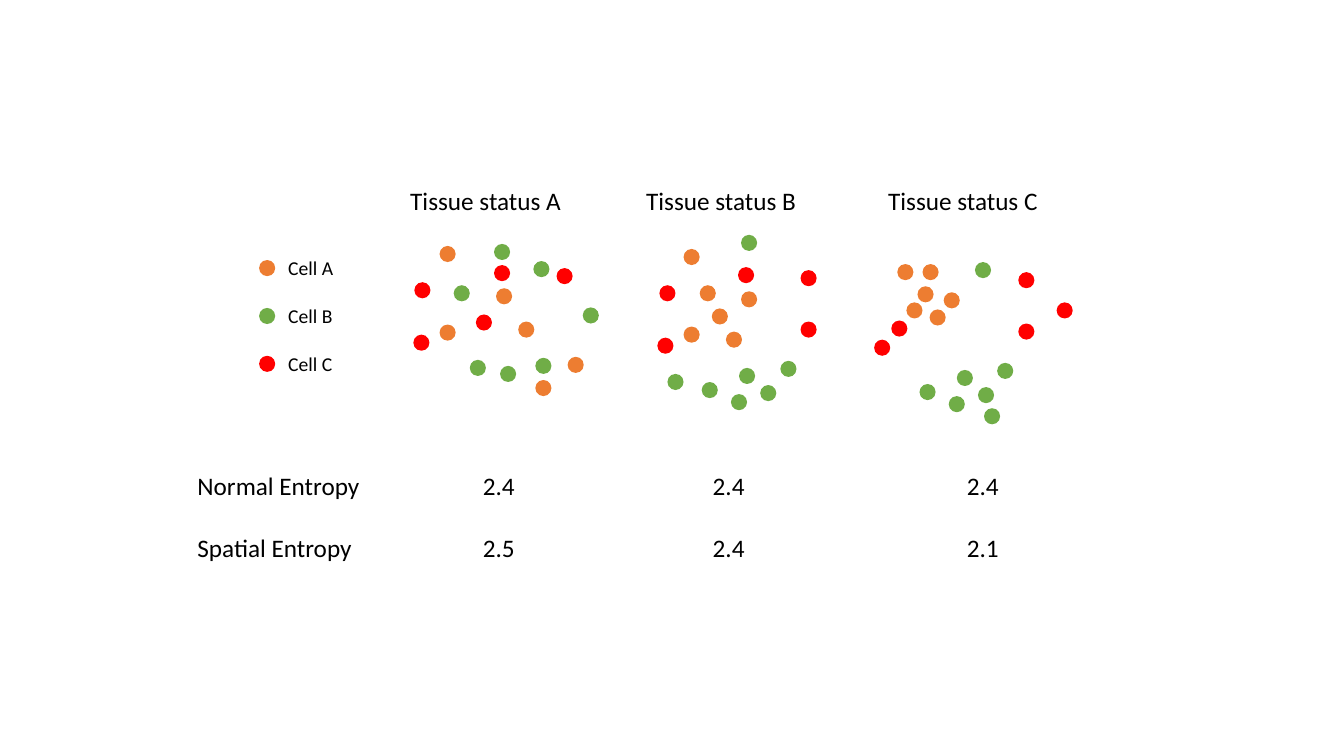
from pptx import Presentation
from pptx import util as u
from pptx.dml.color import RGBColor
from pptx.enum import shapes, text

ORANGE = RGBColor(0xED, 0x7D, 0x31)
GREEN = RGBColor(0x70, 0xAD, 0x47)
RED = RGBColor(0xFF, 0x00, 0x00)
BLACK = RGBColor(0x00, 0x00, 0x00)

CELL_KINDS = [("Cell A", ORANGE), ("Cell B", GREEN), ("Cell C", RED)]

TISSUES = [
    {
        "title": "Tissue status A", "title_left": 3.97,
        "value_left": 4.69, "values": ["2.4", "2.5"],
        "cells": {
            ORANGE: [(4.36, 2.44), (4.36, 3.22), (4.92, 2.86), (5.14, 3.19),
                     (5.31, 3.77), (5.63, 3.54)],
            GREEN: [(5.29, 2.59), (4.9, 2.42), (4.96, 3.63), (4.5, 2.83),
                    (5.31, 3.55), (5.78, 3.05), (4.66, 3.57)],
            RED: [(4.9, 2.63), (4.11, 2.8), (4.72, 3.12), (5.52, 2.66),
                  (4.1, 3.32)],
        },
    },
    {
        "title": "Tissue status B", "title_left": 6.31,
        "value_left": 6.97, "values": ["2.4", "2.4"],
        "cells": {
            ORANGE: [(6.78, 2.47), (6.78, 3.24), (7.35, 2.89), (7.2, 3.29),
                     (6.94, 2.83), (7.06, 3.06)],
            GREEN: [(6.62, 3.71), (7.35, 2.33), (7.25, 3.91), (7.33, 3.65),
                    (7.74, 3.58), (7.54, 3.82), (6.96, 3.79)],
            RED: [(7.32, 2.65), (6.54, 2.83), (7.94, 3.19), (7.94, 2.68),
                  (6.52, 3.35)],
        },
    },
    {
        "title": "Tissue status C", "title_left": 8.71,
        "value_left": 9.49, "values": ["2.4", "2.1"],
        "cells": {
            ORANGE: [(9.15, 2.62), (8.99, 3.0), (9.36, 2.9), (8.9, 2.62),
                     (9.1, 2.84), (9.22, 3.07)],
            GREEN: [(9.76, 4.05), (9.67, 2.6), (9.41, 3.93), (9.49, 3.67),
                    (9.89, 3.6), (9.7, 3.84), (9.12, 3.81)],
            RED: [(10.48, 3.0), (8.84, 3.18), (10.1, 3.21), (10.1, 2.7),
                  (8.67, 3.37)],
        },
    },
]

MEASURES = [("Normal Entropy", 1.82), ("Spatial Entropy", 1.75)]
MEASURE_TOP, MEASURE_STEP = 4.62, 0.61
LEGEND_TOP, LEGEND_STEP = 2.58, 0.475


def write(box, words, *, size=18, color=BLACK, font="Calibri"):
    frame = box.text_frame
    frame.word_wrap = False
    frame.auto_size = text.MSO_AUTO_SIZE.SHAPE_TO_FIT_TEXT
    span = frame.paragraphs[0].add_run()
    span.text = words
    span.font.size = u.Pt(size)
    span.font.name = font
    span.font.color.rgb = color


class Figure:
    cell_size = 0.16

    def __init__(self, page):
        self.page = page

    def label(self, words, left, top, width, height=0.4, **style):
        box = self.page.shapes.add_textbox(
            u.Inches(left), u.Inches(top), u.Inches(width), u.Inches(height))
        write(box, words, **style)

    def cell(self, left, top, color, group=None):
        holder = group or self.page
        dot = holder.shapes.add_shape(
            shapes.MSO_SHAPE.OVAL, u.Inches(left), u.Inches(top),
            u.Inches(self.cell_size), u.Inches(self.cell_size))
        dot.shadow.inherit = False
        dot.fill.solid()
        dot.fill.fore_color.rgb = color
        dot.line.fill.background()

    def tissue(self, cells):
        group = self.page.shapes.add_group_shape()
        for color, places in cells.items():
            for left, top in places:
                self.cell(left, top, color, group)


def main():
    deck = Presentation()
    deck.slide_width, deck.slide_height = u.Inches(13.33), u.Inches(7.5)
    figure = Figure(deck.slides.add_slide(deck.slide_layouts[6]))

    for tissue in TISSUES:
        figure.tissue(tissue["cells"])
        figure.label(tissue["title"], tissue["title_left"], 1.79, 1.71)

    for row, (measure, width) in enumerate(MEASURES):
        top = MEASURE_TOP + row * MEASURE_STEP
        figure.label(measure, 1.86, top, width)
        for tissue in TISSUES:
            figure.label(tissue["values"][row], tissue["value_left"], top, 0.52)

    for row, (name, color) in enumerate(CELL_KINDS):
        top = LEGEND_TOP + row * LEGEND_STEP
        figure.cell(2.57, top, color)
        figure.label(name, 2.76, top - 0.09, 0.65, 0.34, size=14)

    deck.save("out.pptx")


if __name__ == "__main__":
    main()
